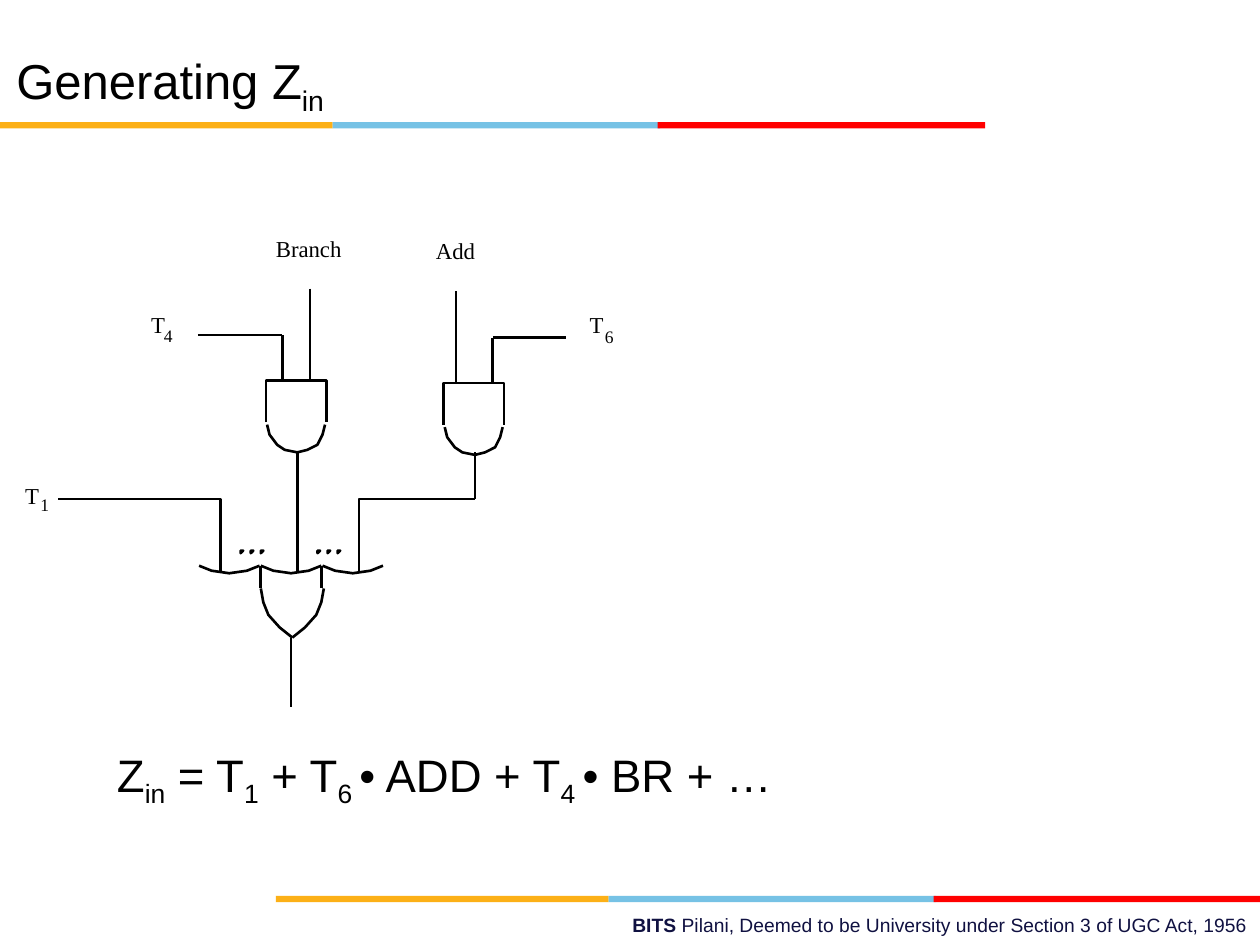
from lxml.etree import SubElement
from pptx import Presentation
from pptx.dml.color import RGBColor
from pptx.enum.shapes import MSO_CONNECTOR, MSO_SHAPE
from pptx.enum.text import MSO_ANCHOR, PP_ALIGN
from pptx.oxml.ns import qn
from pptx.util import Inches, Pt

BLACK, NAVY = "000000", "101141"
TITLE = ["Generating Z", "in"]
EQUATION = ["Z", "in", " = T", "1", " + T", "6 ", "• ADD + T", "4 ", "• BR + …"]
FOOTER = ["", "BITS ", "Pilani, Deemed to be University under Section 3 of UGC Act, 1956"]

BAND = [(0, 2.64, "FCB017"), (2.64, 2.6, "76C2E5"), (5.22, 2.6, "FF0000")]
BAND_STARTS = [(0, 0.97), (2.19, 7.11)]

LABELS = [
    ("Branch", 2.19, 1.86, 0.57, 13), ("Add", 3.46, 1.88, 0.32, 13),
    ("T", 0.2, 3.82, 0.11, 13), ("1", 0.32, 3.92, 0.08, 10),
    ("T", 1.2, 2.47, 0.11, 13), ("4", 1.3, 2.58, 0.08, 10),
    ("T", 4.68, 2.47, 0.11, 13), ("6", 4.8, 2.59, 0.08, 10),
]

WIRES = [
    (2.46, 2.29, 2.46, 3.02), (1.57, 2.66, 2.24, 2.66), (2.24, 2.66, 2.24, 3.02),
    (3.62, 2.31, 3.62, 3.04), (4.49, 2.68, 3.91, 2.68), (3.91, 2.68, 3.91, 3.04),
    (2.36, 3.59, 2.36, 4.55), (3.77, 3.59, 3.77, 3.96),
    (2.07, 4.49, 2.07, 4.67), (2.55, 4.49, 2.55, 4.67), (2.31, 5.06, 2.31, 5.61),
]
BENT_WIRES = [
    [(1.75, 4.55), (1.75, 3.96), (0.46, 3.96)],
    [(2.85, 4.55), (2.85, 3.96), (3.77, 3.96)],
]

AND_GATES = [(2.11, 3.02), (3.52, 3.04)]
AND_BOX = [(0, 0.33), (0, 0), (0.48, 0), (0.48, 0.33)]
AND_ARC = [(0.01, 0.35), (0.03, 0.43), (0.09, 0.51), (0.15, 0.55), (0.25, 0.57),
           (0.33, 0.55), (0.41, 0.51), (0.45, 0.43), (0.47, 0.35)]

OR_SIDE = [(0.25, 0), (0.23, 0.11), (0.19, 0.21), (0.1, 0.31), (0, 0.39)]
OR_TIP = (2.32, 4.67)
OR_INPUT = [(0, 0), (0.1, 0.04), (0.24, 0.06), (0.38, 0.04), (0.48, 0)]
OR_INPUT_STARTS = [(1.58, 4.49), (2.07, 4.49), (2.56, 4.49)]

DOT = [(0, 0), (0, 0.02), (0.02, 0), (0, 0)]
DOT_GROUPS, DOT_STEP, DOT_TOP = [1.91, 2.52], 0.08, 4.37


def color(value):
    """Return the colour for a hex string."""
    return RGBColor.from_string(value)


def write(frame, runs, size, font="Arial", fill=BLACK, align=PP_ALIGN.LEFT,
          accent="subscript", inset=None, wrap=True):
    """Fill a text frame with runs, giving every second run the accent."""
    frame.word_wrap = wrap
    if inset is not None:
        frame.margin_left = frame.margin_right = Inches(inset)
        frame.margin_top = frame.margin_bottom = Inches(inset)
    paragraph = frame.paragraphs[0]
    paragraph.alignment = align
    for index, text in enumerate(runs):
        if not text:
            continue
        run = paragraph.add_run()
        run.text = text
        run.font.name, run.font.size = font, Pt(size)
        run.font.color.rgb = color(fill)
        if index % 2 and accent == "bold":
            run.font.bold = True
        elif index % 2:
            run.font._element.set("baseline", "-25000")


def add_text(slide, box, runs, size, **style):
    """Add a text box at the given left, top, width and height."""
    shape = slide.shapes.add_textbox(*map(Inches, box))
    write(shape.text_frame, runs, size, **style)


def add_bar(slide, left, top, width, fill):
    """Add one coloured segment of a band."""
    shape = slide.shapes.add_shape(
        MSO_SHAPE.RECTANGLE, Inches(left), Inches(top), Inches(width), Inches(0.05))
    shape.shadow.inherit = False
    shape.fill.solid()
    shape.fill.fore_color.rgb = color(fill)
    shape.line.fill.background()


def add_wire(slide, ends):
    """Add a straight wire."""
    wire = slide.shapes.add_connector(MSO_CONNECTOR.STRAIGHT, *map(Inches, ends))
    wire.line.color.rgb = color(BLACK)
    wire.line.width = Pt(1.5)
    SubElement(wire._element.spPr, qn("a:effectLst"))


def add_outline(slide, points, origin=(0, 0), flip=1):
    """Add an open outline with points relative to the origin."""
    places = [(Inches(origin[0] + flip * x), Inches(origin[1] + y)) for x, y in points]
    builder = slide.shapes.build_freeform(*places[0])
    builder.add_line_segments(places[1:], close=False)
    shape = builder.convert_to_shape()
    shape.shadow.inherit = False
    shape.fill.background()
    shape.line.color.rgb = color(BLACK)
    shape.line.width = Pt(1.5)


def main():
    """Build and save the slide."""
    presentation = Presentation()
    presentation.slide_width, presentation.slide_height = Inches(10), Inches(7.5)
    slide = presentation.slides.add_slide(presentation.slide_layouts[5])

    for start, top in BAND_STARTS:
        for offset, width, fill in BAND:
            add_bar(slide, start + offset, top, width, fill)
    add_text(slide, (3.46, 7.2, 6.54, 0.29), FOOTER, 11, fill=NAVY,
             align=PP_ALIGN.RIGHT, accent="bold")

    title = slide.shapes.title
    title.left, title.top, title.width, title.height = map(Inches, (0.13, 0.28, 7.14, 0.65))
    title.text_frame.vertical_anchor = MSO_ANCHOR.BOTTOM
    write(title.text_frame, TITLE, 28, inset=0)

    for origin in AND_GATES:
        add_outline(slide, AND_BOX, origin)
        add_outline(slide, AND_ARC, origin)
    for flip in (1, -1):
        add_outline(slide, OR_SIDE, OR_TIP, flip)
    for origin in OR_INPUT_STARTS:
        add_outline(slide, OR_INPUT, origin)
    for points in BENT_WIRES:
        add_outline(slide, points)
    for ends in WIRES:
        add_wire(slide, ends)
    for left in DOT_GROUPS:
        for index in range(3):
            add_outline(slide, DOT, (left + index * DOT_STEP, DOT_TOP))

    for text, left, top, width, size in LABELS:
        add_text(slide, (left, top, width, size / 60), [text], size,
                 font="Times New Roman", inset=0, wrap=False)
    add_text(slide, (0.83, 5.88, 9, 0.54), EQUATION, 26)
    presentation.save("out.pptx")


if __name__ == "__main__":
    main()
